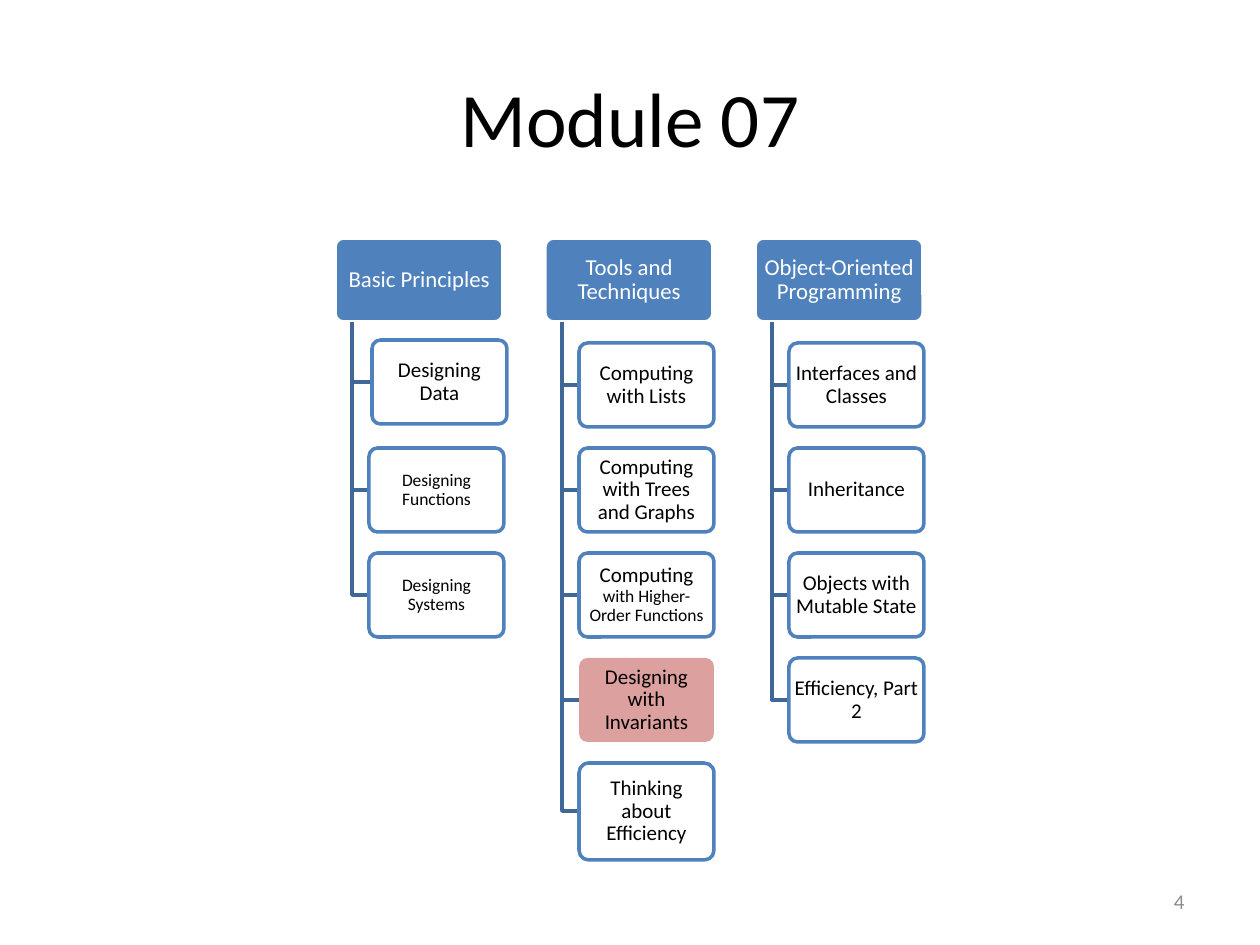
from lxml.etree import SubElement
from pptx import Presentation
from pptx.dml.color import RGBColor
from pptx.enum.shapes import MSO_SHAPE
from pptx.enum.text import MSO_ANCHOR, PP_ALIGN
from pptx.oxml.ns import qn
from pptx.util import Pt

PX = 914400 // 126
COLORS = {"blue": "4F81BD", "line": "3F6797", "pink": "D99694",
          "white": "FFFFFF", "black": "000000", "gray": "8C8C8C"}

# Column heading, then its topics as lists of (text, size) runs
COLUMNS = [
    ("Basic Principles", [
        [("Designing Data", 12)],
        [("Designing Functions", 10)],
        [("Designing Systems", 10)]]),
    ("Tools and Techniques", [
        [("Computing with Lists", 12)],
        [("Computing with Trees and Graphs", 12)],
        [("Computing", 12), (" with Higher-Order Functions", 10)],
        [("Designing with Invariants", 12)],
        [("Thinking about Efficiency", 12)]]),
    ("Object-Oriented Programming", [
        [("Interfaces and Classes", 12)],
        [("Inheritance", 12)],
        [("Objects with Mutable State", 12)],
        [("Efficiency, Part 2", 12)]]),
]
CURRENT = "Designing with Invariants"
# Topics set off the grid: shift right, shift down, extra height
OFFSETS = {"Designing Data": (3, -3, 0),
           "Thinking about Efficiency": (0, 0, 13)}


def color(name):
    return RGBColor.from_string(COLORS[name])


def emu(*box):
    return [n * PX for n in box]


def style(para, size, ink, align):
    para.alignment = align
    para.font.name = "Calibri"
    para.font.size = Pt(size)
    para.font.color.rgb = color(ink)


def add_title(slide, box, text):
    title = slide.shapes.title
    title.left, title.top, title.width, title.height = emu(*box)
    frame = title.text_frame
    frame.text = text
    frame.vertical_anchor = MSO_ANCHOR.MIDDLE
    style(frame.paragraphs[0], 44, "black", PP_ALIGN.CENTER)


def add_number(slide, box, text):
    frame = slide.shapes.add_textbox(*emu(*box)).text_frame
    frame.word_wrap = True
    frame.vertical_anchor = MSO_ANCHOR.MIDDLE
    frame.text = text
    style(frame.paragraphs[0], 12, "gray", PP_ALIGN.RIGHT)


def add_card(slide, box, runs, fill, edge, ink, alpha=None):
    card = slide.shapes.add_shape(MSO_SHAPE.ROUNDED_RECTANGLE, *emu(*box))
    card.adjustments[0] = 0.1
    card.shadow.inherit = False
    card.fill.solid()
    card.fill.fore_color.rgb = color(fill)
    if alpha:
        tone = card.fill._xPr.find(qn("a:solidFill"))[0]
        SubElement(tone, qn("a:alpha"), val=str(alpha * 1000))
    if edge:
        card.line.color.rgb = color(edge)
        card.line.width = Pt(2)
    else:
        card.line.fill.background()
    frame = card.text_frame
    frame.word_wrap = True
    frame.vertical_anchor = MSO_ANCHOR.MIDDLE
    frame.margin_left = frame.margin_right = 3 * PX
    frame.margin_top = frame.margin_bottom = PX
    para = frame.paragraphs[0]
    para.line_spacing = 0.9
    style(para, runs[0][1], ink, PP_ALIGN.CENTER)
    for text, size in runs:
        run = para.add_run()
        run.text = text
        if size != runs[0][1]:
            run.font.size = Pt(size)


def add_elbow(slide, left, top, right, bottom):
    pen = slide.shapes.build_freeform(left, top, scale=PX)
    pen.add_line_segments([(left, bottom), (right, bottom)], close=False)
    elbow = pen.convert_to_shape()
    elbow.shadow.inherit = False
    elbow.fill.background()
    elbow.line.color.rgb = color("line")
    elbow.line.width = Pt(2)


def add_column(slide, box, head, topics):
    left, top, width, height = box
    add_card(slide, box, [(head, 13)], "blue", "white", "white")
    for row, runs in enumerate(topics):
        name = runs[0][0]
        right, down, extra = OFFSETS.get(name, (0, 0, 0))
        x = left + 34 + right
        y = top + 105 * (row + 1) + down
        tall = height + extra
        add_elbow(slide, left + 17, top + height, x, y + tall // 2)
        fill, edge = ("pink", None) if name == CURRENT else ("white", "blue")
        add_card(slide, (x, y, 135, tall), runs, fill, edge, "black", 90)


def main():
    deck = Presentation()
    deck.slide_width, deck.slide_height = emu(1260, 945)
    slide = deck.slides.add_slide(deck.slide_layouts[5])
    add_title(slide, (63, 38, 1134, 158), "Module 07")
    # Topic map
    for col, (head, topics) in enumerate(COLUMNS):
        add_column(slide, (335 + 210 * col, 238, 168, 84), head, topics)
    add_number(slide, (903, 876, 294, 50), "4")
    deck.save("out.pptx")


if __name__ == "__main__":
    main()
